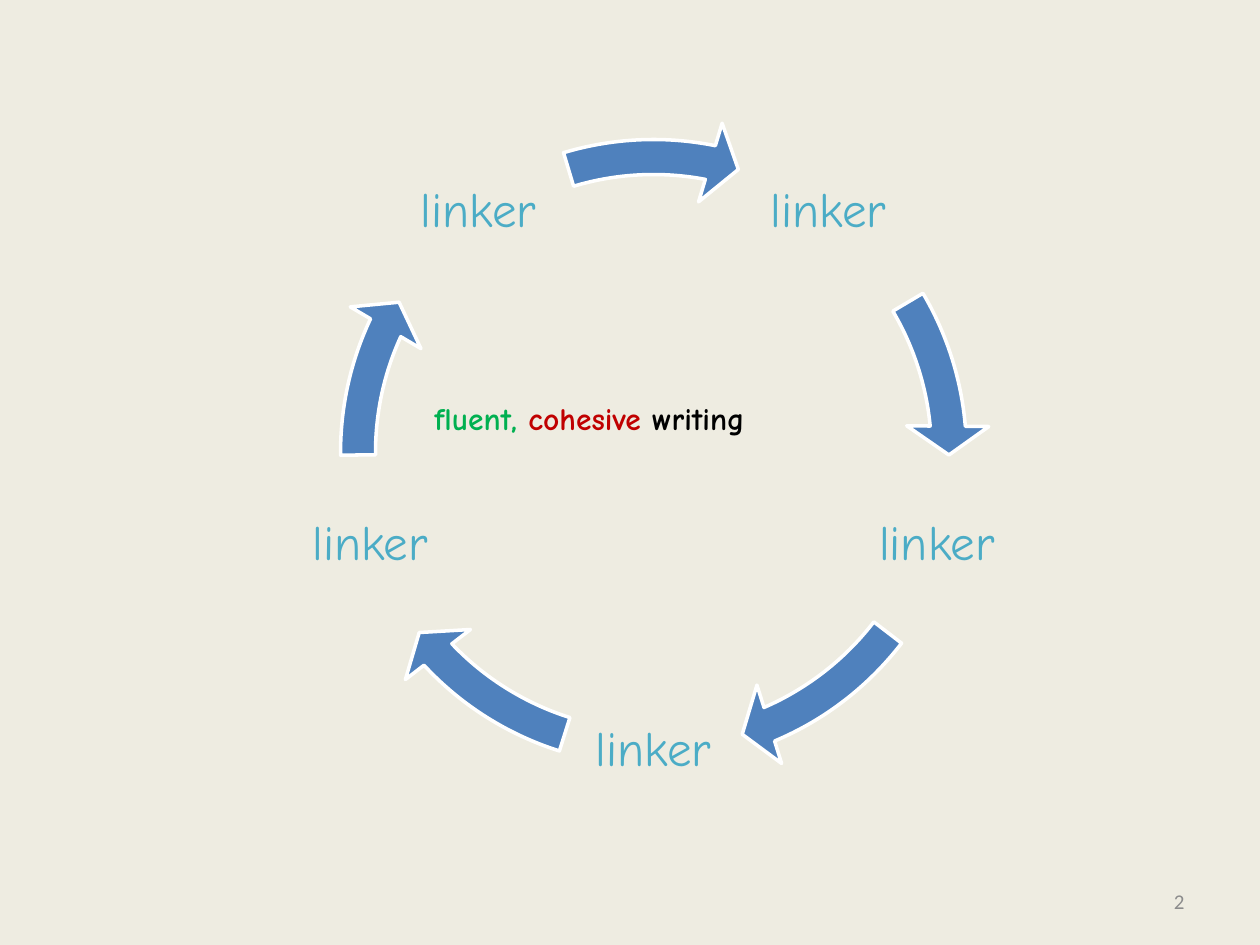
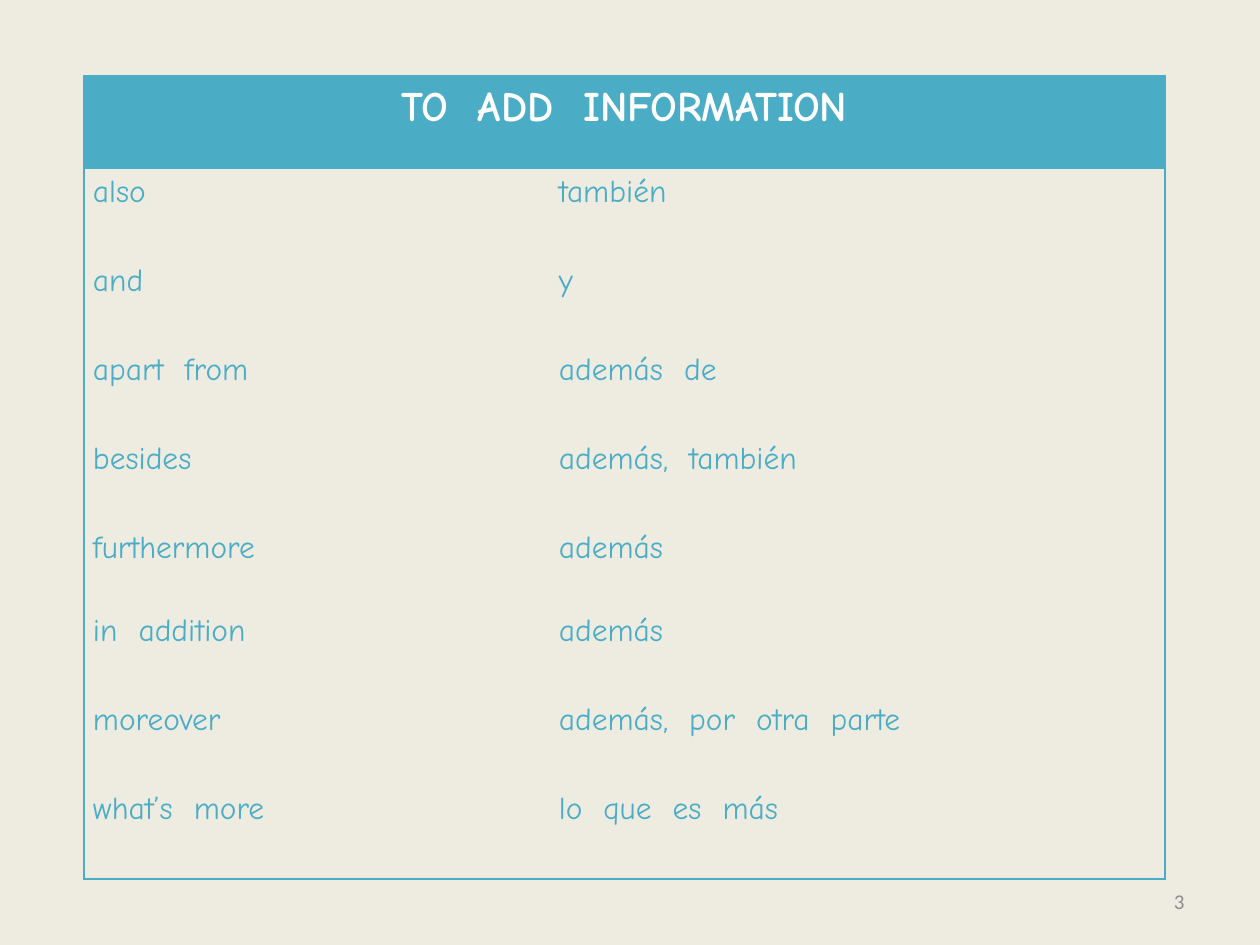
from math import cos, radians, sin

from lxml.etree import SubElement
from pptx import Presentation
from pptx.dml.color import RGBColor
from pptx.enum.shapes import MSO_SHAPE
from pptx.enum.text import MSO_ANCHOR, PP_ALIGN
from pptx.oxml.ns import qn
from pptx.util import Pt

PX = 914400 / 126
COLORS = {
    "background": "EEECE1",
    "teal": "4BACC6",
    "blue": "4F81BD",
    "white": "FFFFFF",
    "green": "00B050",
    "red": "C00000",
    "black": "000000",
    "grey": "8C8C8C",
}
HAND_FONT = "Comic Neue"
NUMBER_FONT = "Calibri"

# Direction of each arrow on the ring, in degrees clockwise from the right
ARROW_ANGLES = [(329.43, 354.89), (37.55, 66.92), (107.49, 136.85),
                (179.51, 204.97), (253.3, 281.1)]

LINKERS = [
    ("also", "también"),
    ("and", "y"),
    ("apart  from", "además  de"),
    ("besides", "además,  también"),
    ("furthermore", "además"),
    ("in  addition", "además"),
    ("moreover", "además,  por  otra  parte"),
    ("what’s  more", "lo  que  es  más"),
]
COLUMN_WIDTHS = [466, 615]
ROW_HEIGHTS = [93, 89, 89, 89, 89, 83, 89, 89, 93]


def px(length):
    return round(length * PX)


def color(name):
    return RGBColor.from_string(COLORS[name])


def add_run(paragraph, text, size, color_name, bold=False, font_name=HAND_FONT):
    run = paragraph.add_run()
    run.text = text
    run.font.name = font_name
    run.font.size = Pt(size)
    run.font.bold = bold
    run.font.color.rgb = color(color_name)


def add_text_box(slide, box, anchor=MSO_ANCHOR.TOP, align=PP_ALIGN.LEFT):
    """Return the first paragraph of a new text box."""
    frame = slide.shapes.add_textbox(*map(px, box)).text_frame
    frame.word_wrap = True
    frame.vertical_anchor = anchor
    paragraph = frame.paragraphs[0]
    paragraph.alignment = align
    return paragraph


def add_page_number(slide, number):
    paragraph = add_text_box(slide, (903, 876, 294, 50), MSO_ANCHOR.MIDDLE, PP_ALIGN.RIGHT)
    add_run(paragraph, str(number), 12, "grey", font_name=NUMBER_FONT)


def add_ring_arrow(slide, box, start, end):
    arrow = slide.shapes.add_shape(MSO_SHAPE.CIRCULAR_ARROW, *map(px, box))
    arrow.shadow.inherit = False
    arrow.fill.solid()
    arrow.fill.fore_color.rgb = color("blue")
    arrow.line.color.rgb = color("white")
    arrow.line.width = Pt(2)
    # One degree is 0.6 adjustment units
    for index, value in enumerate((0.052, 3.358, end * 0.6, start * 0.6, 0.061)):
        arrow.adjustments[index] = value


def add_linker_cycle(slide, box):
    left, top, width, height = box
    center_x, center_y = left + width / 2, top + height / 2
    radius, label_size = 298, 179
    for index, (start, end) in enumerate(ARROW_ANGLES):
        # Labels stand on the corners of a regular pentagon
        angle = radians(72 * index - 54)
        label_left = center_x + radius * cos(angle) - label_size / 2
        label_top = center_y + radius * sin(angle) - label_size / 2
        paragraph = add_text_box(slide, (label_left, label_top, label_size, label_size),
                                 MSO_ANCHOR.MIDDLE, PP_ALIGN.CENTER)
        paragraph.line_spacing = 0.9
        add_run(paragraph, "linker", 28, "teal")
        add_ring_arrow(slide, box, start, end)


def add_cycle_caption(slide, box):
    paragraph = add_text_box(slide, box)
    for text, color_name in (("fluent, ", "green"), ("cohesive ", "red"), ("writing", "black")):
        add_run(paragraph, text, 18, color_name, bold=True)


def set_borders(cell, visible_sides):
    properties = cell._tc.get_or_add_tcPr()
    for side in "LRTB":
        line = SubElement(properties, qn(f"a:ln{side}"), w=str(Pt(1)))
        if side in visible_sides:
            fill = SubElement(line, qn("a:solidFill"))
            SubElement(fill, qn("a:srgbClr"), val=COLORS["teal"])
        else:
            SubElement(line, qn("a:noFill"))


def format_cell(cell, borders, fill_name=None):
    set_borders(cell, borders)
    if fill_name:
        cell.fill.solid()
        cell.fill.fore_color.rgb = color(fill_name)
    else:
        cell.fill.background()
    cell.margin_left = cell.margin_right = px(9)
    cell.margin_top = cell.margin_bottom = 0
    paragraph = cell.text_frame.paragraphs[0]
    paragraph.line_spacing = 1.15
    return paragraph


def add_linker_table(slide, left, top):
    frame = slide.shapes.add_table(len(ROW_HEIGHTS), len(COLUMN_WIDTHS), px(left), px(top),
                                   px(sum(COLUMN_WIDTHS)), px(sum(ROW_HEIGHTS)))
    table = frame.table
    table.first_row = table.horz_banding = False
    for column, width in zip(table.columns, COLUMN_WIDTHS):
        column.width = px(width)
    for row, height in zip(table.rows, ROW_HEIGHTS):
        row.height = px(height)

    # Heading across both columns
    heading, covered = table.cell(0, 0), table.cell(0, 1)
    heading.merge(covered)
    format_cell(covered, "RT", "teal")
    paragraph = format_cell(heading, "LRT", "teal")
    paragraph.alignment = PP_ALIGN.CENTER
    add_run(paragraph, "TO  ADD  INFORMATION", 24, "white", bold=True)

    # Word pairs inside the outer frame
    for row_index, pair in enumerate(LINKERS, start=1):
        bottom = "B" if row_index == len(LINKERS) else ""
        for column_index, text in enumerate(pair):
            paragraph = format_cell(table.cell(row_index, column_index),
                                    "LR"[column_index] + bottom)
            add_run(paragraph, text, 18, "teal")


def build_cycle_slide(slide):
    add_linker_cycle(slide, (317, 116, 673, 673))
    add_cycle_caption(slide, (422, 393, 446, 50))


def build_table_slide(slide):
    add_linker_table(slide, 84, 76)


def main():
    presentation = Presentation()
    presentation.slide_width = px(1260)
    presentation.slide_height = px(945)
    background = presentation.slide_master.background.fill
    background.solid()
    background.fore_color.rgb = color("background")
    blank_layout = presentation.slide_layouts[6]
    for number, build in enumerate((build_cycle_slide, build_table_slide), start=2):
        slide = presentation.slides.add_slide(blank_layout)
        build(slide)
        add_page_number(slide, number)
    presentation.save("out.pptx")


if __name__ == "__main__":
    main()
